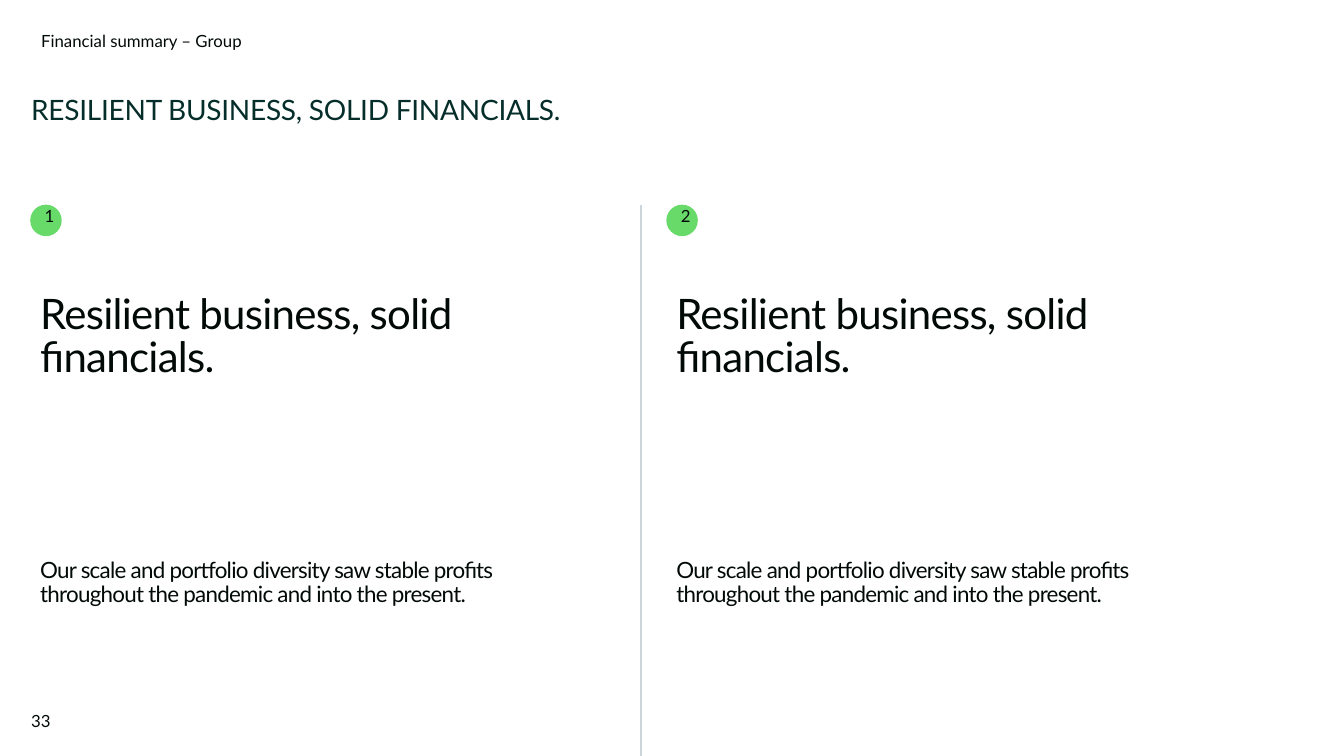
from dataclasses import dataclass

from lxml import etree
from pptx import Presentation
from pptx import util as u
from pptx.dml import color
from pptx.enum import shapes, text
from pptx.oxml import ns


@dataclass(frozen=True)
class Theme:
    font: str = "Lato"
    ink: str = "020A08"
    title_green: str = "052E2B"
    badge_green: str = "68DA6A"
    rule_grey: str = "CDD6DB"
    small: int = 12
    body: int = 16
    title: int = 20
    headline: int = 30


theme = Theme()
deck = Presentation()
deck.slide_width, deck.slide_height = u.Pt(960), u.Pt(540)
slide = deck.slides.add_slide(deck.slide_layouts[6])


def write(words, left, top, width, height, *, size=theme.small, ink=theme.ink,
          leading=1.0, after=0, tracking=0, insets=(7.2, 3.6, 7.2, 3.6),
          anchor=text.MSO_ANCHOR.TOP, align=text.PP_ALIGN.LEFT, badge=None):
    """Place words in a text box, or in a filled circle if badge is a colour."""
    place = [u.Pt(length) for length in (left, top, width, height)]
    if badge:
        holder = slide.shapes.add_shape(shapes.MSO_SHAPE.OVAL, *place)
        holder.shadow.inherit = False
        holder.fill.solid()
        holder.fill.fore_color.rgb = color.RGBColor.from_string(badge)
        holder.line.fill.background()
    else:
        holder = slide.shapes.add_textbox(*place)
    frame = holder.text_frame
    frame.word_wrap = True
    frame.vertical_anchor = anchor
    (frame.margin_left, frame.margin_top,
     frame.margin_right, frame.margin_bottom) = [u.Pt(inset) for inset in insets]
    paragraph = frame.paragraphs[0]
    paragraph.alignment = align
    paragraph.line_spacing = leading
    paragraph.space_after = u.Pt(after)
    run = paragraph.add_run()
    run.text = words
    run.font.name = theme.font
    run.font.size = u.Pt(size)
    run.font.color.rgb = color.RGBColor.from_string(ink)
    if tracking:
        run.font._element.set("spc", str(round(tracking * 100)))


# Section label, title and page number
write("Financial summary – Group", 22.3, 20.2, 284.4, 13, leading=0.9)
write("RESILIENT BUSINESS, SOLID FINANCIALS.", 22.3, 69.1, 453.6, 21.6,
      size=theme.title, ink=theme.title_green, leading=0.9, tracking=-0.2,
      insets=(0, 0, 0, 0))
write("33", 22.3, 500.4, 28.1, 28.8, insets=(0, 0, 0, 0),
      anchor=text.MSO_ANCHOR.MIDDLE)

# Two numbered columns
messages = [
    ("Resilient business, solid financials.",
     "Our scale and portfolio diversity saw stable profits "
     "throughout the pandemic and into the present."),
] * 2
columns_left, column_step, column_width = 21.6, 454.4, 389.5
columns_top = 146.2
for number, (headline, detail) in enumerate(messages, start=1):
    left = columns_left + (number - 1) * column_step
    write(str(number), left, columns_top, 22.5, 22.5, leading=0.8,
          insets=(7.2, 0, 7.2, 3.6), anchor=text.MSO_ANCHOR.MIDDLE,
          align=text.PP_ALIGN.CENTER, badge=theme.badge_green)
    write(headline, left, 207.4, column_width, 61.2, size=theme.headline,
          leading=0.85, after=12, tracking=-0.5)
    write(detail, left, 396, column_width, 41.8, size=theme.body,
          leading=0.9, after=6, tracking=-0.5)

# Divider between the columns
divider = slide.shapes.add_connector(
    shapes.MSO_CONNECTOR.STRAIGHT,
    u.Pt(457.9), u.Pt(540), u.Pt(457.9), u.Pt(columns_top))
divider.line.color.rgb = color.RGBColor.from_string(theme.rule_grey)
divider.line.width = u.Pt(1)
etree.SubElement(divider._element.spPr, ns.qn("a:effectLst"))

deck.save("out.pptx")
